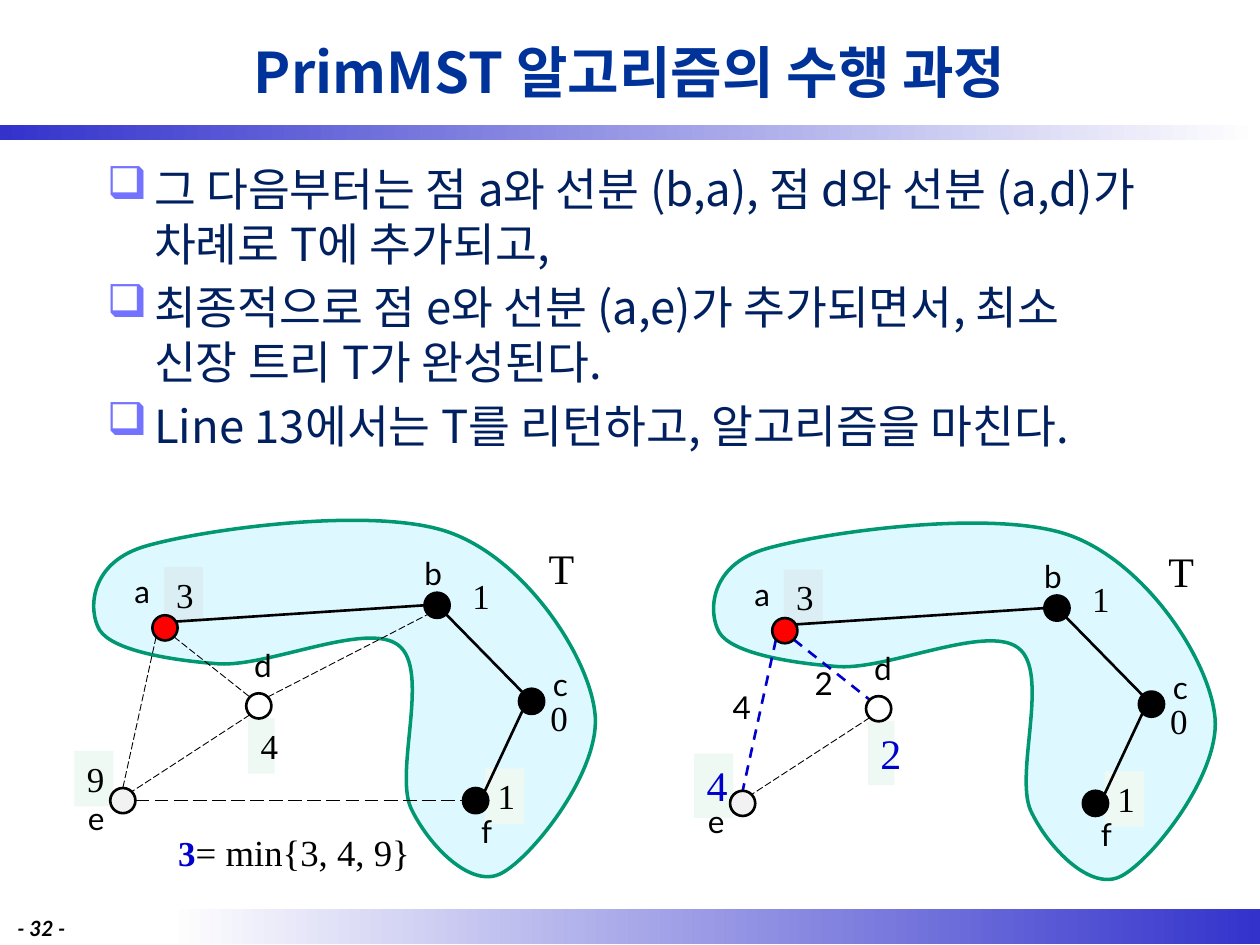
from math import cos, radians, sin

from lxml.etree import SubElement
from pptx import Presentation
from pptx.dml.color import RGBColor
from pptx.enum.dml import MSO_LINE as Dash
from pptx.enum.shapes import MSO_CONNECTOR as Connector, MSO_SHAPE as Shape
from pptx.enum.text import MSO_ANCHOR as Anchor, MSO_AUTO_SIZE as AutoSize, PP_ALIGN as Align
from pptx.oxml.ns import qn
from pptx.util import Pt


class Theme:
    heading = "Noto Sans CJK KR"
    label = "Lato"
    number = "Times New Roman"
    title_blue, body_navy, bullet = "003399", "002060", "7373FF"
    bar, white, black, accent = "3333CC", "FFFFFF", "000000", "0000CC"
    region, region_line = "DDF9FF", "009771"
    badge, badge_a = "EEF9F4", "DBEEF4"
    red, grey = "FF0000", "F2F2F2"
    title_size, body_size, page_size = 32, 26, 12
    label_size, number_size, min_size, large_size = 18, 20, 21, 24


RADIUS = 7.2
NODES = {
    "a": (52.3, 61.8, Theme.red), "b": (207.8, 48.9, Theme.black),
    "c": (261.8, 103.8, Theme.black), "d": (105.9, 106.4, Theme.white),
    "e": (28.2, 160.5, Theme.grey), "f": (229.8, 160.5, Theme.black),
}
COMPASS = {"E": 0, "SE": 45, "SW": 135, "W": 180, "NW": 225, "N": 270, "NE": 315, "ENE": 330}
NAMES = {
    "a": (27.8, 26.3, 24.5), "b": (193.4, 16.2, 24.5), "c": (266.9, 79.6, 23),
    "d": (96.2, 68.8, 24.5), "e": (1.2, 155.9, 24.5), "f": (225.8, 163.5, 20.2),
}
BADGES = {
    "e": (0.5, 132.1, 22.3, Theme.badge), "a": (51.6, 27, 22.3, Theme.badge_a),
    "f": (235.2, 142.2, 22.3, Theme.badge), "d": (99.8, 113.4, 15.1, Theme.badge),
    "c": (265.4, 97.6, 22.3, None), "b": (220.8, 27.7, 22.3, None),
}
REGION_BOX = (11.3, 0.4, 286.6, 203.8)
REGION_START = (14.9, 63)
REGION_CURVES = [
    ((8.4, 52.2), (8.4, 24.1), (42.2, 14.8)),
    ((75.4, 5.4), (173.3, -8.3), (215.8, 7.6)),
    ((258.2, 23.4), (293.5, 76.7), (297.8, 109.1)),
    ((302.9, 141.5), (262.6, 192.6), (244.6, 202)),
    ((227.3, 211.3), (202.8, 186.1), (192.7, 164.5)),
    ((183.4, 142.9), (204.2, 85.3), (185.5, 71.6)),
    ((167.5, 58), (112.1, 83.9), (83.3, 82.4)),
    ((54.5, 80.3), (22.1, 74.5), REGION_START),
]
TREE = (Theme.black, 1.5, Dash.SOLID)
THIN = (Theme.black, 0.5, Dash.LONG_DASH)
WIDE = (Theme.black, 1, Dash.LONG_DASH)
UPDATED = (Theme.accent, 1.5, Dash.DASH)
TREE_EDGES = [("a", "ENE", "b", "W", TREE), ("c", "NW", "b", "SE", TREE),
              ("f", "NE", "c", "SW", TREE), ("d", "SW", "e", "NE", THIN)]


def apply(target, values):
    for name, value in values.items():
        setattr(target, name, value)


def color(value):
    return RGBColor.from_string(value)


def paint(shape, fill, line=None, width=1.5):
    shape.shadow.inherit = False
    shape.fill.solid()
    shape.fill.fore_color.rgb = color(fill)
    if line:
        shape.line.color.rgb = color(line)
        shape.line.width = Pt(width)
    else:
        shape.line.fill.background()


def add_run(paragraph, text, font, size, ink, **flags):
    run = paragraph.add_run()
    run.text = text
    apply(run.font, {"name": font, "size": Pt(size), **flags})
    run.font.color.rgb = color(ink)


def add_text(slide, box, runs, align=Align.LEFT, wrap=True, anchor=Anchor.TOP,
             fill=None, fit=AutoSize.NONE):
    lengths = [Pt(value) for value in box]
    if fill:
        shape = slide.shapes.add_shape(Shape.RECTANGLE, *lengths)
        paint(shape, fill)
    else:
        shape = slide.shapes.add_textbox(*lengths)
    frame = shape.text_frame
    apply(frame, {"word_wrap": wrap, "vertical_anchor": anchor, "auto_size": fit})
    paragraph = frame.paragraphs[0]
    paragraph.alignment = align
    for text, font, size, ink, flags in runs:
        add_run(paragraph, text, font, size, ink, **flags)


def add_bar(slide, box, colors):
    shape = slide.shapes.add_shape(Shape.RECTANGLE, *[Pt(value) for value in box])
    paint(shape, Theme.white)
    shape.fill.gradient()
    shape.fill.gradient_angle = 0
    for stop, value in zip(shape.fill.gradient_stops, colors):
        stop.color.rgb = color(value)


def add_body(slide, box, items):
    frame = slide.shapes.add_textbox(*[Pt(value) for value in box]).text_frame
    frame.word_wrap = True
    for index, item in enumerate(items):
        paragraph = frame.add_paragraph() if index else frame.paragraphs[0]
        apply(paragraph, {"space_before": Pt(5.2), "alignment": Align.LEFT})
        properties = paragraph._p.get_or_add_pPr()
        for name, value in {"marL": Pt(27), "indent": Pt(-27)}.items():
            properties.set(name, str(value))
        SubElement(SubElement(properties, qn("a:buClr")), qn("a:srgbClr"), val=Theme.bullet)
        SubElement(properties, qn("a:buChar"), char="❑")
        add_run(paragraph, item, Theme.heading, Theme.body_size, Theme.body_navy)


def add_region(slide, left, top):
    x, y, width, height = REGION_BOX
    corners = [(x, y), (x + width, y), (x + width, y + height)]
    points = [(Pt(left + across), Pt(top + down)) for across, down in corners]
    builder = slide.shapes.build_freeform(*points[0])
    builder.add_line_segments(points[1:])
    shape = builder.convert_to_shape()
    outline = next(shape._element.iter(qn("a:path")))
    for child in list(outline):
        outline.remove(child)
    steps = [("a:moveTo", [REGION_START])] + [("a:cubicBezTo", curve) for curve in REGION_CURVES]
    for tag, curve in steps:
        step = SubElement(outline, qn(tag))
        for across, down in curve:
            SubElement(step, qn("a:pt"), x=str(Pt(across - x)), y=str(Pt(down - y)))
    SubElement(outline, qn("a:close"))
    paint(shape, Theme.region, Theme.region_line, 2)


def add_edge(slide, left, top, edge):
    start, start_side, end, end_side, (ink, width, dash) = edge
    ends = []
    for node, side in ((start, start_side), (end, end_side)):
        angle = radians(COMPASS[side])
        ends += [Pt(left + NODES[node][0] + RADIUS * cos(angle)),
                 Pt(top + NODES[node][1] + RADIUS * sin(angle))]
    connector = slide.shapes.add_connector(Connector.STRAIGHT, *ends)
    connector.line.color.rgb = color(ink)
    apply(connector.line, {"width": Pt(width), "dash_style": dash})
    SubElement(connector._element.spPr, qn("a:effectLst"))


def add_graph(slide, left, top, values, edges, weights=(), caption=()):
    add_region(slide, left, top)
    for node, (x, y, width, fill) in BADGES.items():
        value, size, ink = values[node]
        height = 31.7 if size == Theme.number_size else 36.7
        add_text(slide, (left + x, top + y, width, height), [(value, Theme.number, size, ink, {})],
                 Align.CENTER, fill=fill, fit=AutoSize.SHAPE_TO_FIT_TEXT)
    for edge in TREE_EDGES + edges:
        add_edge(slide, left, top, edge)
    for x, y, fill in NODES.values():
        box = (left + x - RADIUS, top + y - RADIUS, 2 * RADIUS, 2 * RADIUS)
        paint(slide.shapes.add_shape(Shape.OVAL, *[Pt(value) for value in box]), fill, Theme.black)
    labels = [(name, *place) for name, place in NAMES.items()] + list(weights)
    for text, x, y, width in labels:
        add_text(slide, (left + x, top + y, width, 28.8),
                 [(text, Theme.label, Theme.label_size, Theme.black, {})], wrap=False)
    add_text(slide, (left + 259, top + 9.7, 39.6, 36),
             [("T", Theme.number, Theme.large_size, Theme.black, {})], Align.CENTER)
    if caption:
        add_text(slide, (left + 26.4, top + 173.9, 199.4, 31.7), caption, Align.CENTER)


def main():
    presentation = Presentation()
    apply(presentation, {"slide_width": Pt(720), "slide_height": Pt(540)})
    slide = presentation.slides.add_slide(presentation.slide_layouts[6])
    add_bar(slide, (95.8, 519.4, 624.2, 20.2), (Theme.white, Theme.bar))
    add_bar(slide, (0, 71.3, 720, 8.6), (Theme.bar, Theme.white))
    add_text(slide, (54, 3.6, 612, 74.2),
             [("PrimMST 알고리즘의 수행 과정", Theme.heading, Theme.title_size, Theme.title_blue,
               {"bold": True})], Align.CENTER, anchor=Anchor.MIDDLE)
    add_body(slide, (54, 88.6, 612, 430.6), [
        "그 다음부터는 점 a와 선분 (b,a), 점 d와 선분 (a,d)가 차례로 T에 추가되고,",
        "최종적으로 점 e와 선분 (a,e)가 추가되면서, 최소 신장 트리 T가 완성된다.",
        "Line 13에서는 T를 리턴하고, 알고리즘을 마친다."])
    add_text(slide, (2.9, 519.8, 51.1, 17.3),
             [("- 32 -", Theme.label, Theme.page_size, Theme.black, {"bold": True, "italic": True})])
    plain = {node: (value, Theme.number_size, Theme.black) for node, value in zip("abcdef", "310491")}
    updated = {node: (value, Theme.large_size, Theme.accent) for node, value in zip("de", "24")}
    add_graph(slide, 42, 297, plain,
              [("a", "SW", "e", "N", THIN), ("e", "E", "f", "W", WIDE),
               ("d", "NE", "b", "SW", THIN), ("a", "SE", "d", "NW", THIN)],
              caption=[("3", Theme.number, Theme.number_size, Theme.accent, {"bold": True}),
                       ("= min{3, 4, 9}", Theme.number, Theme.min_size, Theme.black, {})])
    add_graph(slide, 396.2, 298.6, {**plain, **updated},
              [("a", "SW", "e", "N", UPDATED), ("a", "SE", "d", "NW", UPDATED)],
              weights=[("2", 62.2, 77.2, 24.5), ("4", 15.4, 90.9, 24.5)])
    presentation.save("out.pptx")


if __name__ == "__main__":
    main()
